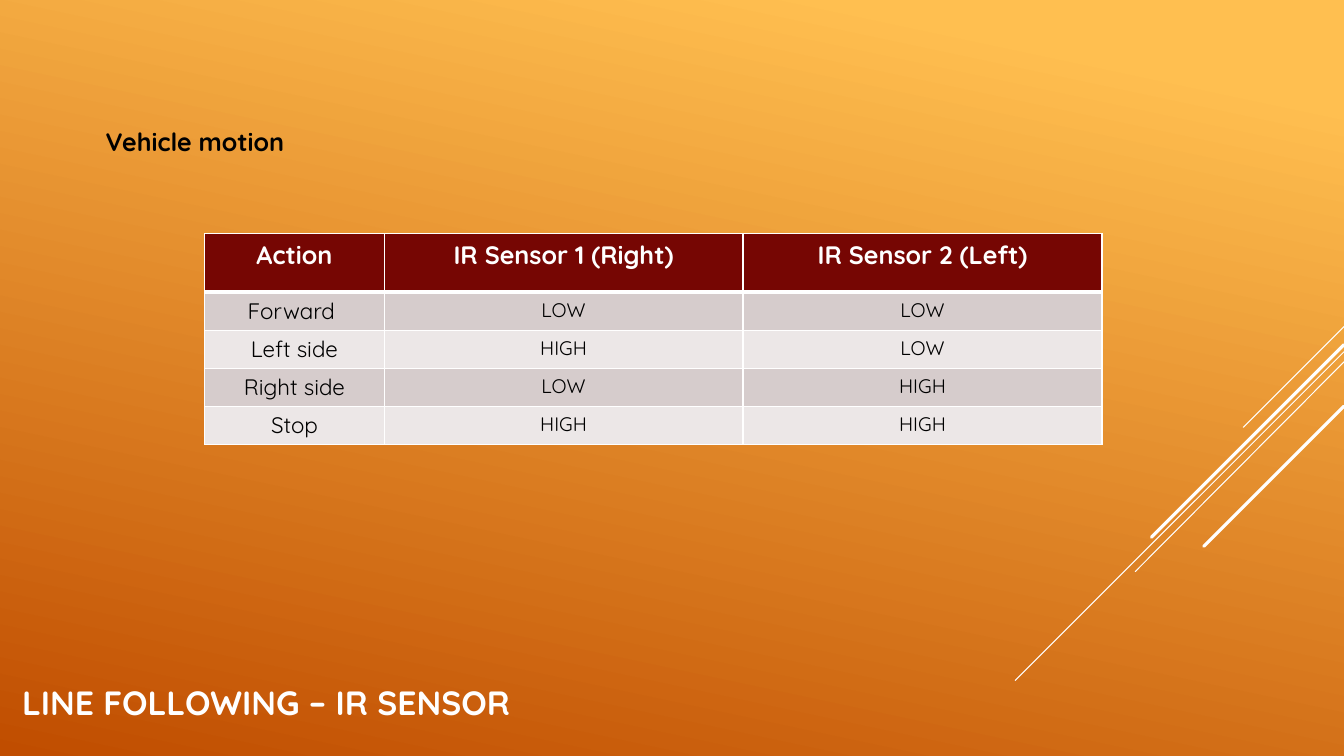
from dataclasses import dataclass

from lxml import etree
from pptx import Presentation
from pptx.dml.color import RGBColor
from pptx.enum.shapes import MSO_CONNECTOR
from pptx.enum.text import PP_ALIGN
from pptx.oxml.ns import qn
from pptx.util import Inches, Pt

STRAIGHT = MSO_CONNECTOR.STRAIGHT
CENTER = PP_ALIGN.CENTER
FONT = "Quicksand"
COLORS = {
    "sky": "FFBF50",
    "ground": "C04D00",
    "white": "FFFFFF",
    "black": "000000",
    "header": "760603",
    "dark_band": "D6CCCC",
    "light_band": "ECE7E7",
}
SLIDE_WIDTH = 13.33


@dataclass(frozen=True)
class Streak:
    top: float
    end_x: float
    end_y: float
    weight: float


@dataclass(frozen=True)
class Label:
    text: str
    left: float
    top: float
    width: float
    height: float
    size: float
    color: str


STREAKS = [
    Streak(3.24, 12.33, 4.24, 0.75),
    Streak(3.49, 10.07, 6.75, 0.75),
    Streak(3.59, 11.26, 5.67, 0.75),
    Streak(3.42, 11.42, 5.33, 2.25),
    Streak(4.03, 11.94, 5.42, 2.25),
]
LABELS = [
    Label("LINE FOLLOWING – IR SENSOR", 0.12, 6.72, 7.51, 0.76, 24, "white"),
    Label("Vehicle motion", 0.95, 1.2, 2.42, 0.41, 18, "black"),
]
MOTION_ROWS = [
    ("Action", "IR Sensor 1 (Right)", "IR Sensor 2 (Left)"),
    ("Forward ", "LOW", "LOW"),
    ("Left side", "HIGH", "LOW"),
    ("Right side", "LOW", "HIGH"),
    ("Stop", "HIGH", "HIGH"),
]
COLUMN_WIDTHS = [1.78, 3.56, 3.56]
ROW_HEIGHTS = [0.58] + [0.36] * 4


def rgb(name: str) -> RGBColor:
    return RGBColor.from_string(COLORS[name])


def add_span(para, text: str, size: float, color: str, bold: bool) -> None:
    span = para.add_run()
    span.text = text
    span.font.name = FONT
    span.font.size = Pt(size)
    span.font.bold = bold
    span.font.color.rgb = rgb(color)


def paint_background(page) -> None:
    fill = page.background.fill
    fill.gradient()
    fill.gradient_angle = 360 - 102
    for stop, color, position in zip(fill.gradient_stops, ("sky", "ground"), (0.1, 1)):
        stop.color.rgb = rgb(color)
        stop.position = position


def add_streak(page, streak: Streak) -> None:
    line = page.shapes.add_connector(
        STRAIGHT, Inches(SLIDE_WIDTH), Inches(streak.top),
        Inches(streak.end_x), Inches(streak.end_y))
    line.line.color.rgb = rgb("white")
    line.line.width = Pt(streak.weight)
    properties = line.element.spPr
    properties.find(qn("a:ln")).set("cap", "rnd")
    etree.SubElement(properties, qn("a:effectLst"))


def add_label(page, label: Label) -> None:
    box = page.shapes.add_textbox(
        Inches(label.left), Inches(label.top), Inches(label.width), Inches(label.height))
    box.text_frame.word_wrap = True
    add_span(box.text_frame.paragraphs[0], label.text, label.size, label.color, True)


def set_borders(cell, top: float, bottom: float) -> None:
    """Draw white cell edges; call before filling, as edges precede the fill."""
    properties = cell._tc.get_or_add_tcPr()
    for side, weight in (("L", 1), ("R", 1), ("T", top), ("B", bottom)):
        edge = etree.SubElement(properties, qn(f"a:ln{side}"), w=str(Pt(weight)))
        fill = etree.SubElement(edge, qn("a:solidFill"))
        etree.SubElement(fill, qn("a:srgbClr"), val=COLORS["white"])


def add_motion_table(page) -> None:
    table = page.shapes.add_table(
        len(ROW_HEIGHTS), len(COLUMN_WIDTHS), Inches(2.03), Inches(2.32),
        Inches(sum(COLUMN_WIDTHS)), Inches(sum(ROW_HEIGHTS))).table
    for column, width in zip(table.columns, COLUMN_WIDTHS):
        column.width = Inches(width)
    for row, height in zip(table.rows, ROW_HEIGHTS):
        row.height = Inches(height)

    for r, texts in enumerate(MOTION_ROWS):
        is_header = r == 0
        band = "header" if is_header else "dark_band" if r % 2 else "light_band"
        for c, text in enumerate(texts):
            cell = table.cell(r, c)
            set_borders(cell, top=3 if r == 1 else 1, bottom=3 if is_header else 1)
            cell.fill.solid()
            cell.fill.fore_color.rgb = rgb(band)
            para = cell.text_frame.paragraphs[0]
            para.alignment = CENTER
            size = 18 if is_header else 16 if c == 0 else 14
            add_span(para, text, size, "white" if is_header else "black", is_header)


def main() -> None:
    deck = Presentation()
    deck.slide_width = Inches(SLIDE_WIDTH)
    deck.slide_height = Inches(7.5)
    page = deck.slides.add_slide(deck.slide_layouts[6])
    paint_background(page)
    for streak in STREAKS:
        add_streak(page, streak)
    add_motion_table(page)
    for label in LABELS:
        add_label(page, label)
    deck.save("out.pptx")


if __name__ == "__main__":
    main()
